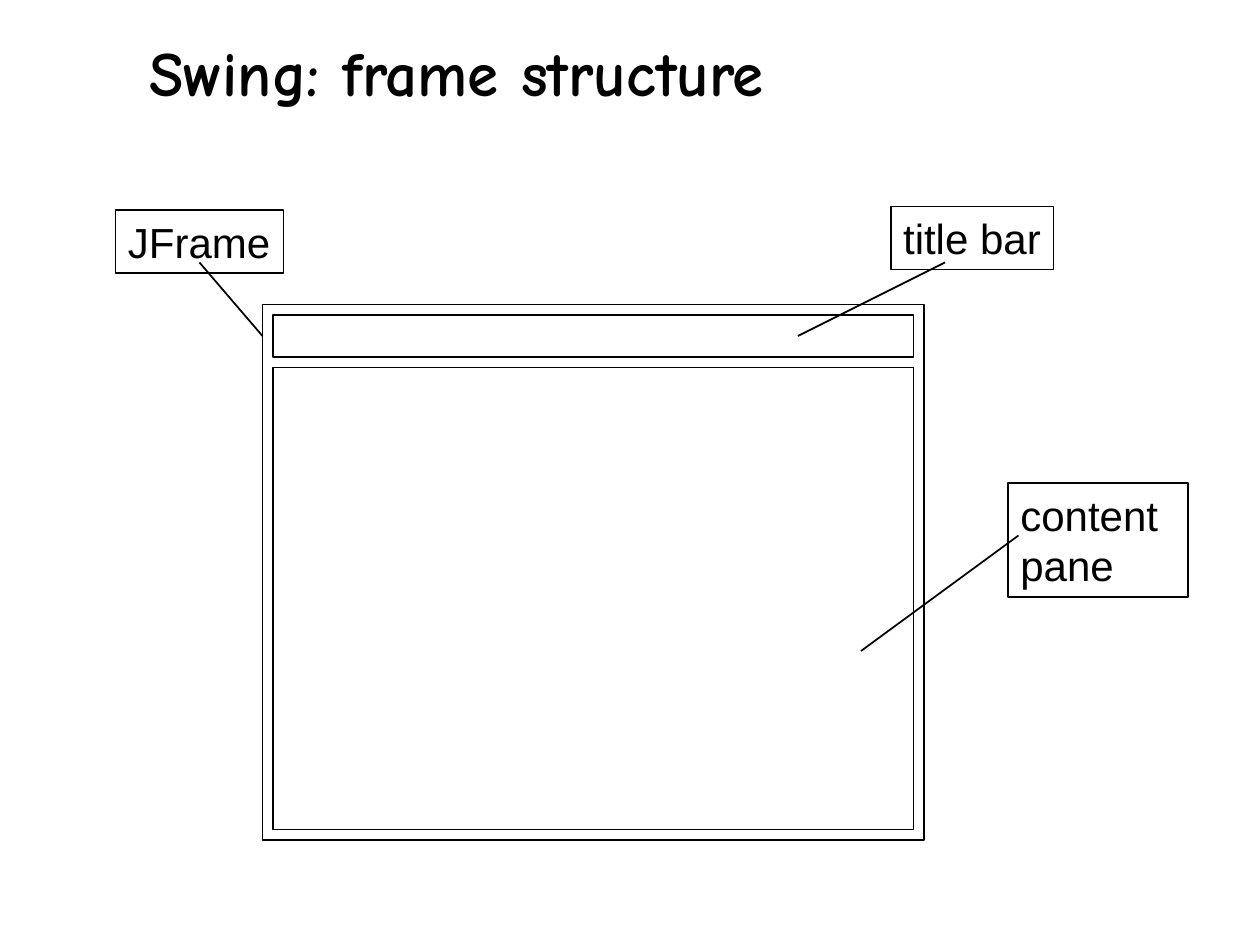
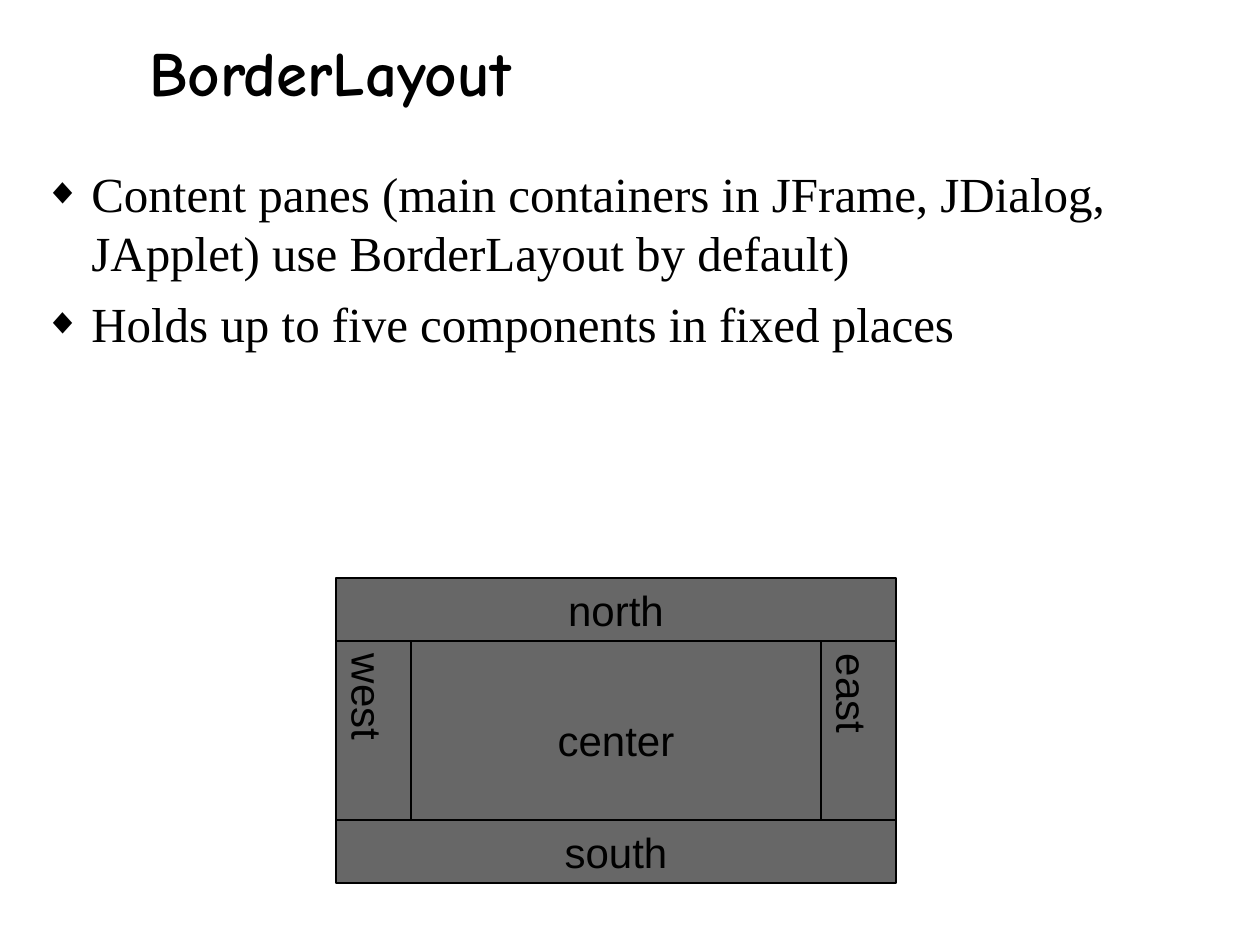
from lxml.etree import SubElement
from pptx import Presentation
from pptx.dml.color import RGBColor
from pptx.enum.shapes import MSO_CONNECTOR, MSO_SHAPE
from pptx.enum.text import MSO_ANCHOR, MSO_AUTO_SIZE, PP_ALIGN
from pptx.oxml.ns import qn
from pptx.util import Pt

COLORS = {"ink": "000000", "region": "676767"}
TITLE_FONT, BODY_FONT, LABEL_FONT = "Comic Neue", "Times New Roman", "Arial"
TITLE_AREA = (78, 6, 630, 60)
BODY_AREA = (18, 90, 672, 240)
INSETS = (7.2, 3.6, 7.2, 3.6)
LEADING = 1.2

FRAME_TITLE = "Swing: frame structure"
FRAME_AREA = (150, 174, 378, 306)
FRAME_GAP, TITLE_BAR_HEIGHT = 6, 24
# text, area, wraps, pointer start, pointer end
CALLOUTS = [
    ("JFrame", (66, 120, 96, 36), False, (114, 150), (150, 192)),
    ("title bar", (509, 118, 93, 36), False, (540, 150), (456, 192)),
    ("content pane", (576, 276, 103, 65), True, (582, 306), (492, 372)),
]

LAYOUT_TITLE = "BorderLayout"
LAYOUT_POINTS = [
    "Content panes (main containers in JFrame, JDialog, JApplet) use BorderLayout by default)",
    "Holds up to five components in fixed places",
]
LAYOUT_LEFT, LAYOUT_TOP, LAYOUT_WIDTH = 192, 330.5, 320
BAND_HEIGHT, SIDE_WIDTH, SIDE_HEIGHT, SOUTH_TOP = 36, 43, 108, 468.5


def color(name):
    return RGBColor.from_string(COLORS[name])


def style_font(para, name, size, bold=False):
    for span in para.runs:
        span.font.name = name
        span.font.size = Pt(size)
        span.font.bold = bold
        span.font.color.rgb = color("ink")


def set_insets(frame, insets):
    frame.margin_left, frame.margin_top, frame.margin_right, frame.margin_bottom = map(Pt, insets)


def place(shape, area):
    shape.left, shape.top, shape.width, shape.height = map(Pt, area)


def add_page(deck, layout, title):
    page = deck.slides.add_slide(deck.slide_layouts[layout])
    place(page.shapes.title, TITLE_AREA)
    frame = page.shapes.title.text_frame
    frame.text = title
    frame.auto_size = MSO_AUTO_SIZE.NONE
    frame.vertical_anchor = MSO_ANCHOR.BOTTOM
    frame.paragraphs[0].alignment = PP_ALIGN.LEFT
    style_font(frame.paragraphs[0], TITLE_FONT, 36, bold=True)
    return page


def add_box(page, area, text="", fill=None, wrap=True, insets=INSETS, vertical=False):
    """Add an outlined rectangle; a filled one centres its text."""
    box = page.shapes.add_shape(MSO_SHAPE.RECTANGLE, *map(Pt, area))
    box.shadow.inherit = False
    box.line.color.rgb = color("ink")
    box.line.width = Pt(1)
    if fill:
        box.fill.solid()
        box.fill.fore_color.rgb = color(fill)
    else:
        box.fill.background()
    if text:
        frame = box.text_frame
        frame.text = text
        frame.word_wrap = wrap
        frame.vertical_anchor = MSO_ANCHOR.MIDDLE if fill else MSO_ANCHOR.TOP
        set_insets(frame, insets)
        if vertical:
            box.element.txBody.bodyPr.set("vert", "eaVert")
        para = frame.paragraphs[0]
        para.alignment = PP_ALIGN.CENTER if fill else PP_ALIGN.LEFT
        para.line_spacing = Pt(24 * LEADING)
        style_font(para, LABEL_FONT, 24)


def add_pointer(page, start, end):
    line = page.shapes.add_connector(MSO_CONNECTOR.STRAIGHT, *map(Pt, start + end))
    line.line.color.rgb = color("ink")
    line.line.width = Pt(1)
    SubElement(line.element.spPr, qn("a:effectLst"))


def add_bullet(para):
    properties = para._p.get_or_add_pPr()
    properties.set("marL", str(Pt(27)))
    properties.set("indent", str(-Pt(27)))
    bullet_color = SubElement(properties, qn("a:buClr"))
    SubElement(bullet_color, qn("a:srgbClr"), val=COLORS["ink"])
    SubElement(properties, qn("a:buSzPct"), val="75000")
    SubElement(properties, qn("a:buFont"), typeface=BODY_FONT)
    SubElement(properties, qn("a:buChar"), char="◆")


def fill_body(body, points):
    place(body, BODY_AREA)
    frame = body.text_frame
    frame.text = "\n".join(points)
    frame.auto_size = MSO_AUTO_SIZE.NONE
    frame.vertical_anchor = MSO_ANCHOR.TOP
    set_insets(frame, INSETS)
    for index, para in enumerate(frame.paragraphs):
        add_bullet(para)
        para.space_before = Pt(7 if index else 0)
        para.line_spacing = Pt(28 * LEADING)
        style_font(para, BODY_FONT, 28)


def build_frame_page(deck):
    page = add_page(deck, 5, FRAME_TITLE)
    left, top, width, height = FRAME_AREA
    inner_left, inner_width = left + FRAME_GAP, width - 2 * FRAME_GAP
    pane_top = top + 2 * FRAME_GAP + TITLE_BAR_HEIGHT
    pane_height = top + height - FRAME_GAP - pane_top
    add_box(page, FRAME_AREA)
    add_box(page, (inner_left, top + FRAME_GAP, inner_width, TITLE_BAR_HEIGHT))
    add_box(page, (inner_left, pane_top, inner_width, pane_height))
    for text, area, wrap, _, _ in CALLOUTS:
        add_box(page, area, text, wrap=wrap)
    for _, _, _, start, end in CALLOUTS:
        add_pointer(page, start, end)


def build_layout_page(deck):
    page = add_page(deck, 1, LAYOUT_TITLE)
    fill_body(page.placeholders[1], LAYOUT_POINTS)
    middle_top = LAYOUT_TOP + BAND_HEIGHT
    center = (LAYOUT_LEFT + SIDE_WIDTH, middle_top,
              LAYOUT_WIDTH - 2 * SIDE_WIDTH, SIDE_HEIGHT - 3)
    add_box(page, center, "center", "region", insets=(7.2, 10.8, 7.2, 3.6))
    east_left = LAYOUT_LEFT + LAYOUT_WIDTH - SIDE_WIDTH
    for text, left in (("west", LAYOUT_LEFT), ("east", east_left)):
        add_box(page, (left, middle_top, SIDE_WIDTH, SIDE_HEIGHT), text, "region",
                insets=(2, 7.2, 8, 7.2), vertical=True)
    for text, top in (("south", SOUTH_TOP), ("north", LAYOUT_TOP)):
        add_box(page, (LAYOUT_LEFT, top, LAYOUT_WIDTH, BAND_HEIGHT), text, "region")


def main():
    deck = Presentation()
    deck.slide_width, deck.slide_height = Pt(720), Pt(540)
    build_frame_page(deck)
    build_layout_page(deck)
    deck.save("out.pptx")


if __name__ == "__main__":
    main()
